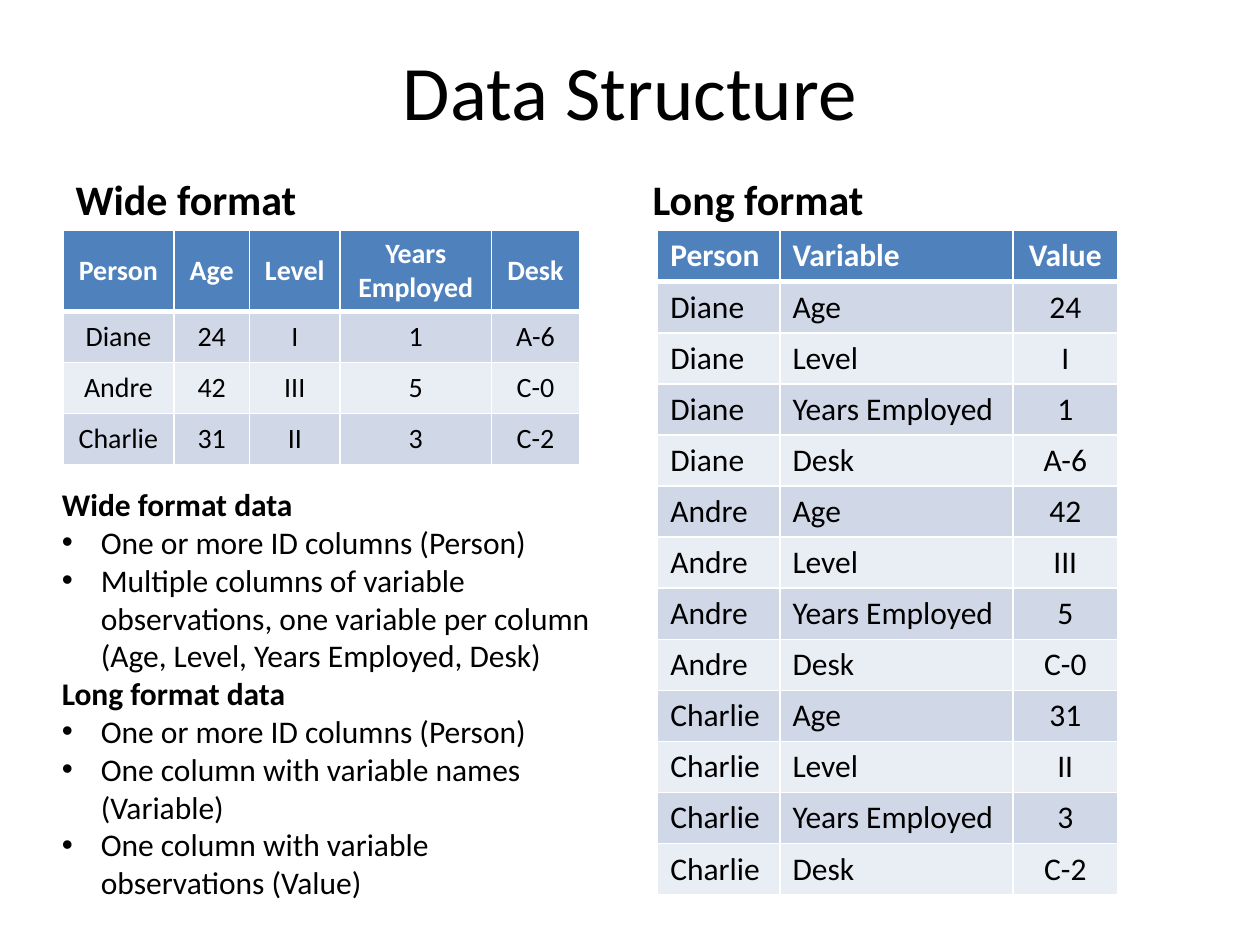
"""Build the slide comparing wide and long data formats."""
from dataclasses import dataclass

from lxml import etree
from pptx import Presentation
from pptx.dml.color import RGBColor
from pptx.enum.text import MSO_ANCHOR, MSO_AUTO_SIZE, PP_ALIGN
from pptx.oxml.ns import qn
from pptx.util import Inches, Pt

LEFT, CENTER = PP_ALIGN.LEFT, PP_ALIGN.CENTER
MIDDLE, BOTTOM, TOP = MSO_ANCHOR.MIDDLE, MSO_ANCHOR.BOTTOM, MSO_ANCHOR.TOP
FIT_SHAPE, FIT_NONE = MSO_AUTO_SIZE.SHAPE_TO_FIT_TEXT, MSO_AUTO_SIZE.NONE
FONT = "Calibri"
BLACK, WHITE = "000000", "FFFFFF"
HEADER, BANDS = "4F81BD", ("D0D8E8", "E9EDF4")
ROW_H = 0.405
INDENT = 0.31


@dataclass
class Table:
    left: float
    widths: list[float]
    header_h: float
    size: int
    aligns: list[PP_ALIGN]
    rows: list[list[str]]


@dataclass
class Section:
    heading: str
    items: list[str]


WIDE_ROWS = [
    ["Person", "Age", "Level", "Years Employed", "Desk"],
    ["Diane", "24", "I", "1", "A-6"],
    ["Andre", "42", "III", "5", "C-0"],
    ["Charlie", "31", "II", "3", "C-2"],
]
LONG_ROWS = [["Person", "Variable", "Value"]] + [
    [row[0], name, value]
    for row in WIDE_ROWS[1:]
    for name, value in zip(WIDE_ROWS[0][1:], row[1:])
]
TABLES = [
    Table(0.5, [0.88, 0.6, 0.72, 1.2, 0.7], 0.63, 16, [CENTER] * 5, WIDE_ROWS),
    Table(5.22, [0.97, 1.85, 0.83], ROW_H, 18, [LEFT, LEFT, CENTER], LONG_ROWS),
]
SECTIONS = [
    Section("Wide format data", [
        "One or more ID columns (Person)",
        "Multiple columns of variable observations, one variable per column "
        "(Age, Level, Years Employed, Desk)",
    ]),
    Section("Long format data", [
        "One or more ID columns (Person)",
        "One column with variable names (Variable)",
        "One column with variable observations (Value)",
    ]),
]


def rgb(value: str) -> RGBColor:
    return RGBColor.from_string(value)


def add_run(p, text: str, size: int, color: str = BLACK, bold: bool = False) -> None:
    r = p.add_run()
    r.text = text
    r.font.name = FONT
    r.font.size = Pt(size)
    r.font.bold = bold
    r.font.color.rgb = rgb(color)


def place(sp, left: float, top: float, width: float, height: float, anchor: MSO_ANCHOR):
    sp.left, sp.top = Inches(left), Inches(top)
    sp.width, sp.height = Inches(width), Inches(height)
    tf = sp.text_frame
    tf.word_wrap = True
    tf.auto_size = FIT_NONE
    tf.vertical_anchor = anchor
    return tf


def set_borders(cell, top: int, bottom: int) -> None:
    tcPr = cell._tc.get_or_add_tcPr()
    sides = {"a:lnL": 1, "a:lnR": 1, "a:lnT": top, "a:lnB": bottom}
    for i, (tag, width) in enumerate(sides.items()):
        ln = etree.Element(qn(tag), w=str(Pt(width)))
        fill = etree.SubElement(ln, qn("a:solidFill"))
        etree.SubElement(fill, qn("a:srgbClr"), val=WHITE)
        tcPr.insert(i, ln)


def add_table(s, spec: Table) -> None:
    n_rows, n_cols = len(spec.rows), len(spec.widths)
    height = spec.header_h + ROW_H * (n_rows - 1)
    table = s.shapes.add_table(
        n_rows, n_cols, Inches(spec.left), Inches(1.83),
        Inches(sum(spec.widths)), Inches(height)).table
    for col, width in zip(table.columns, spec.widths):
        col.width = Inches(width)
    for i, row in enumerate(spec.rows):
        is_header = i == 0
        table.rows[i].height = Inches(spec.header_h if is_header else ROW_H)
        for j, text in enumerate(row):
            cell = table.cell(i, j)
            cell.vertical_anchor = MIDDLE
            cell.fill.solid()
            cell.fill.fore_color.rgb = rgb(HEADER if is_header else BANDS[(i - 1) % 2])
            set_borders(cell, 3 if i == 1 else 1, 3 if is_header else 1)
            p = cell.text_frame.paragraphs[0]
            p.alignment = spec.aligns[j]
            add_run(p, text, spec.size, WHITE if is_header else BLACK, is_header)


def add_line(tf, text: str, is_item: bool) -> None:
    p = tf.add_paragraph() if tf.text else tf.paragraphs[0]
    p.space_before = Pt(0)
    pPr = p._p.get_or_add_pPr()
    indent = Inches(INDENT) if is_item else 0
    pPr.set("marL", str(indent))
    pPr.set("indent", str(-indent))
    if is_item:
        etree.SubElement(pPr, qn("a:buFont"), typeface="Arial")
        etree.SubElement(pPr, qn("a:buChar"), char="•")
    else:
        etree.SubElement(pPr, qn("a:buNone"))
    add_run(p, text, 18, bold=not is_item)


def main() -> None:
    prs = Presentation()
    prs.slide_width, prs.slide_height = Inches(10), Inches(7.5)
    s = prs.slides.add_slide(prs.slide_layouts[4])
    title, wide_head, notes, long_head, spare = s.placeholders
    spare.element.getparent().remove(spare.element)

    tf = place(title, 0.5, 0.09, 9, 1.25, MIDDLE)
    tf.paragraphs[0].alignment = CENTER
    add_run(tf.paragraphs[0], "Data Structure", 44)

    for sp, left, text in [(wide_head, 0.5, "Wide format"), (long_head, 5.08, "Long format")]:
        tf = place(sp, left, 1.13, 4.42, 0.7, BOTTOM)
        add_run(tf.paragraphs[0], text, 24, bold=True)

    for spec in TABLES:
        add_table(s, spec)

    tf = place(notes, 0.39, 3.8, 4.45, 3.43, TOP)
    tf.auto_size = FIT_SHAPE
    for section in SECTIONS:
        add_line(tf, section.heading, False)
        for item in section.items:
            add_line(tf, item, True)

    prs.save("out.pptx")


if __name__ == "__main__":
    main()
